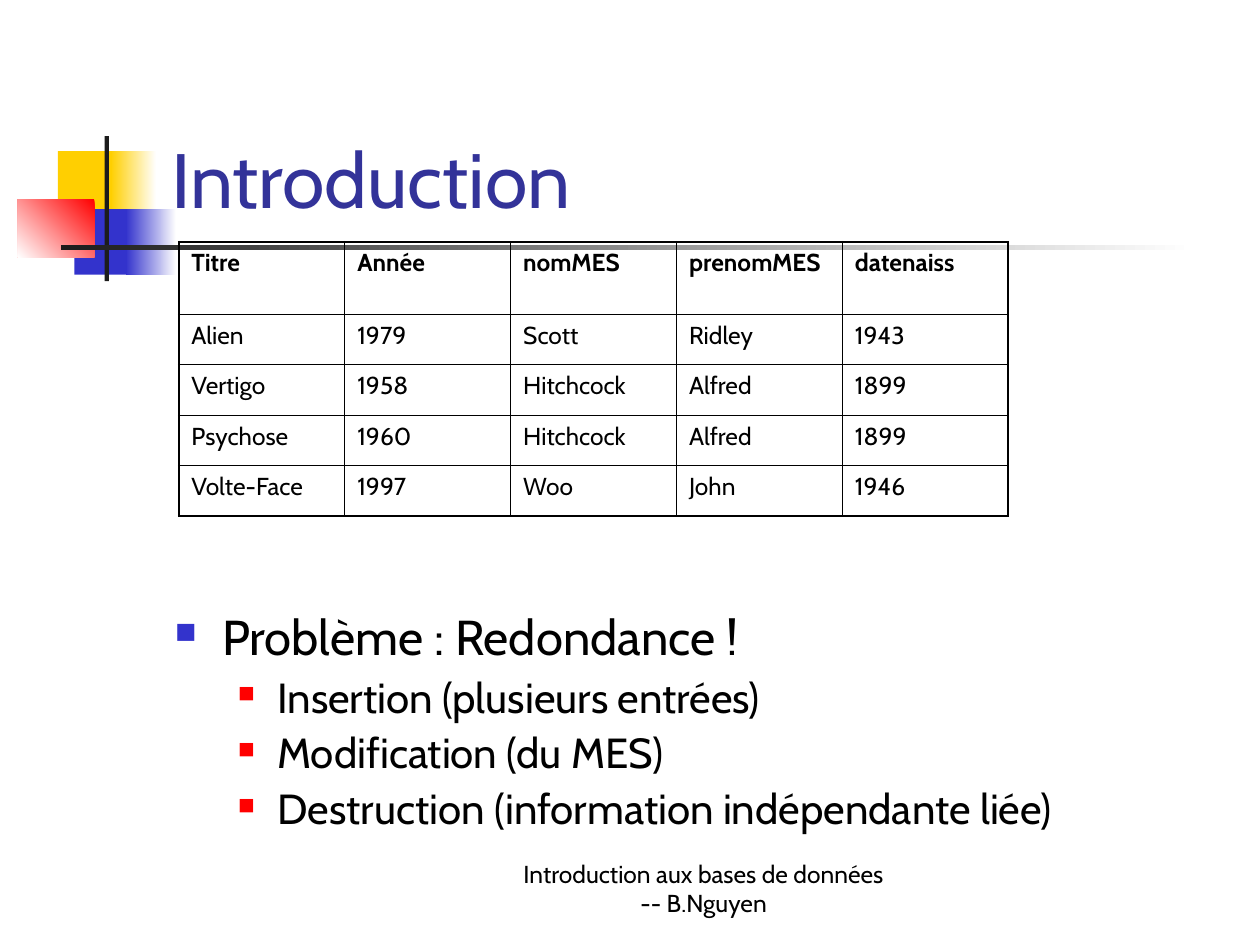
from typing import NamedTuple, Optional

from lxml import etree
from pptx import Presentation
from pptx import util as u
from pptx.dml import color
from pptx.enum import shapes, text
from pptx.oxml import ns

FONT = "Cabin"
BLACK, WHITE, CHARCOAL = "000000", "FFFFFF", "1C1C1C"
YELLOW, BLUE, RED, NAVY = "FFCF01", "3333CC", "FF0000", "333399"
THIN, THICK = 0.45, 1.08


class Block(NamedTuple):
    left: float
    top: float
    width: float
    height: float
    start: str
    end: Optional[str] = None
    angle: float = 180


class Level(NamedTuple):
    size: float
    before: float
    margin: float
    indent: float
    bullet: str
    percent: int


class Point(NamedTuple):
    words: str
    level: int


BLOCKS = [
    Block(33.1, 86.4, 34.6, 37.4, YELLOW),
    Block(63.4, 86.4, 25.9, 37.4, WHITE, YELLOW),
    Block(42.5, 119.5, 33.1, 37.4, BLUE),
    Block(72, 119.5, 28.8, 37.4, WHITE, BLUE),
    Block(10.1, 113.8, 43.9, 33.1, RED, WHITE, 135),
    Block(59.8, 77.8, 2.5, 82.8, CHARCOAL),
    Block(34.6, 140.2, 648, 2.5, WHITE, CHARCOAL),
]
LEVELS = [
    Level(28, 7, 27, -27, BLUE, 60),
    Level(24, 6, 58.5, -22.5, RED, 55),
]
POINTS = [
    Point("Problème : Redondance !", 0),
    Point("Insertion (plusieurs entrées)", 1),
    Point("Modification (du MES)", 1),
    Point("Destruction (information indépendante liée)", 1),
]
FILMS = [
    ("Titre", "Année", "nomMES", "prenomMES", "datenaiss"),
    ("Alien", "1979", "Scott", "Ridley", "1943"),
    ("Vertigo", "1958", "Hitchcock", "Alfred", "1899"),
    ("Psychose", "1960", "Hitchcock", "Alfred", "1899"),
    ("Volte-Face", "1997", "Woo", "John", "1946"),
]
COLUMN_WIDTH, HEADER_HEIGHT, ROW_HEIGHT = 94.8, 41.4, 28.8


def rgb(value: str) -> color.RGBColor:
    return color.RGBColor.from_string(value)


def write(para, words: str, *, size: float, tint: str = BLACK,
          bold: bool = False, align=text.PP_ALIGN.LEFT) -> None:
    para.alignment = align
    span = para.add_run()
    span.text = words
    span.font.name = FONT
    span.font.size = u.Pt(size)
    span.font.bold = bold
    span.font.color.rgb = rgb(tint)


def add_box(page, left: float, top: float, width: float, height: float,
            anchor=text.MSO_ANCHOR.TOP):
    box = page.shapes.add_textbox(*map(u.Pt, (left, top, width, height)))
    box.text_frame.word_wrap = True
    box.text_frame.vertical_anchor = anchor
    return box.text_frame


def draw_block(page, block: Block) -> None:
    shape = page.shapes.add_shape(
        shapes.MSO_SHAPE.RECTANGLE, *map(u.Pt, block[:4]))
    shape.shadow.inherit = False
    shape.line.fill.background()
    if block.end is None:
        shape.fill.solid()
        shape.fill.fore_color.rgb = rgb(block.start)
        return
    shape.fill.gradient()
    shape.fill.gradient_angle = 360 - block.angle
    for stop, tint in zip(shape.fill.gradient_stops, (block.start, block.end)):
        stop.color.rgb = rgb(tint)


def add_child(parent, tag: str, **attributes: str):
    return etree.SubElement(parent, ns.qn(tag), attributes)


def draw_title(page) -> None:
    title = page.shapes.title
    title.element.getparent().append(title.element)
    title.left, title.top, title.width, title.height = map(
        u.Pt, (90.7, 16.6, 613.4, 115.2))
    frame = title.text_frame
    frame.auto_size = text.MSO_AUTO_SIZE.NONE
    frame.word_wrap = True
    frame.vertical_anchor = text.MSO_ANCHOR.BOTTOM
    write(frame.paragraphs[0], "Introduction", size=44, tint=NAVY)


def draw_points(page) -> None:
    frame = add_box(page, 92.9, 347, 612, 136)
    for index, point in enumerate(POINTS):
        level = LEVELS[point.level]
        para = frame.add_paragraph() if index else frame.paragraphs[0]
        para.level = point.level
        props = para._p.get_or_add_pPr()
        props.set("marL", str(u.Pt(level.margin)))
        props.set("indent", str(u.Pt(level.indent)))
        add_child(add_child(props, "a:buClr"), "a:srgbClr", val=level.bullet)
        add_child(props, "a:buSzPct", val=str(level.percent * 1000))
        add_child(props, "a:buChar", char="■")
        para.line_spacing = 0.9
        if index:
            para.space_before = u.Pt(level.before)
        write(para, point.words, size=level.size)


def set_borders(cell, widths: dict[str, float]) -> None:
    props = cell._tc.get_or_add_tcPr()
    for position, (side, width) in enumerate(widths.items()):
        line = etree.Element(ns.qn(f"a:{side}"), w=str(u.Pt(width)))
        add_child(add_child(line, "a:solidFill"), "a:srgbClr", val=BLACK)
        props.insert(position, line)


def draw_films(page) -> None:
    count, last_row = len(FILMS[0]), len(FILMS) - 1
    heights = [HEADER_HEIGHT] + [ROW_HEIGHT] * last_row
    frame = page.shapes.add_table(
        len(FILMS), count, u.Pt(102.2), u.Pt(138.2),
        u.Pt(COLUMN_WIDTH * count), u.Pt(sum(heights)))
    table = frame.table
    table.first_row = table.horz_banding = False
    for column in table.columns:
        column.width = u.Pt(COLUMN_WIDTH)
    for r, (film, height) in enumerate(zip(FILMS, heights)):
        table.rows[r].height = u.Pt(height)
        for c, words in enumerate(film):
            cell = table.cell(r, c)
            cell.fill.background()
            write(cell.text_frame.paragraphs[0], words, size=14, bold=r == 0)
            edges = {"lnL": c == 0, "lnR": c == count - 1,
                     "lnT": r == 0, "lnB": r == last_row}
            set_borders(cell, {side: THICK if outer else THIN
                               for side, outer in edges.items()})


def draw_footer(page) -> None:
    frame = add_box(page, 288, 491.8, 228.2, 36, text.MSO_ANCHOR.BOTTOM)
    write(frame.paragraphs[0], "Introduction aux bases de données -- B.Nguyen",
          size=14, align=text.PP_ALIGN.CENTER)


def main() -> None:
    deck = Presentation()
    deck.slide_width, deck.slide_height = u.Pt(720), u.Pt(540)
    page = deck.slides.add_slide(deck.slide_layouts[5])
    for block in BLOCKS:
        draw_block(page, block)
    draw_title(page)
    draw_points(page)
    draw_films(page)
    draw_footer(page)
    deck.save("out.pptx")


if __name__ == "__main__":
    main()
